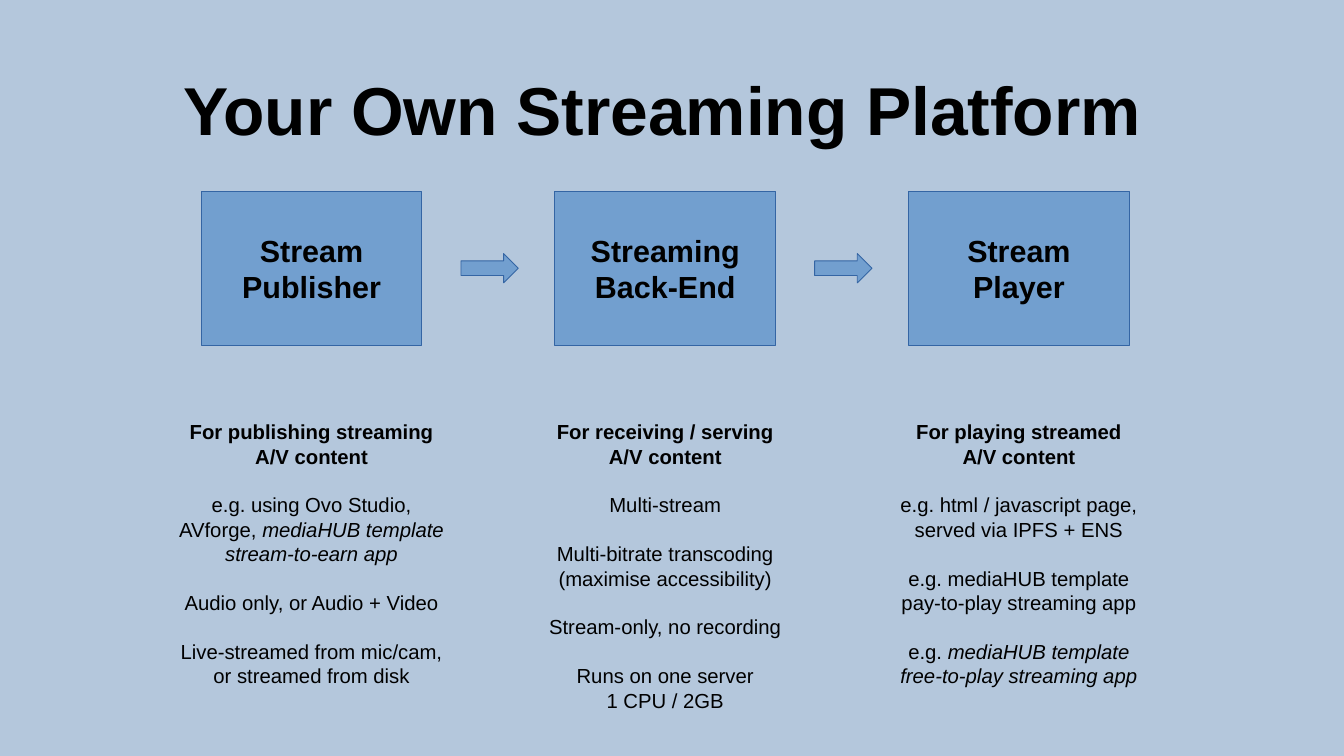
import pptx
import pptx.dml.color
import pptx.enum.shapes
import pptx.enum.text
import pptx.oxml.ns
import pptx.util
from lxml import etree

Inches = pptx.util.Inches
Pt = pptx.util.Pt

COLORS = {"background": "B4C7DC", "box": "729FCF", "outline": "3465A4", "text": "000000"}

# Box label, then blocks of lines; text after "|" is italic
STAGES = [
    (["Stream", "Publisher"], [
        ["For publishing streaming", "A/V content"],
        ["e.g. using Ovo Studio,", "AVforge, |mediaHUB template", "|stream-to-earn app"],
        ["Audio only, or Audio + Video"],
        ["Live-streamed from mic/cam,", "or streamed from disk"],
    ]),
    (["Streaming", "Back-End"], [
        ["For receiving / serving", "A/V content"],
        ["Multi-stream"],
        ["Multi-bitrate transcoding", "(maximise accessibility)"],
        ["Stream-only, no recording"],
        ["Runs on one server", "1 CPU / 2GB"],
    ]),
    (["Stream", "Player"], [
        ["For playing streamed", "A/V content"],
        ["e.g. html / javascript page,", "served via IPFS + ENS"],
        ["e.g. mediaHUB template", "pay-to-play streaming app"],
        ["e.g. |mediaHUB template", "|free-to-play streaming app"],
    ]),
]

FIRST_LEFT, STAGE_STEP = 1.65, 2.9
BOX_WIDTH, BOX_HEIGHT, BOX_TOP = 1.81, 1.26, 1.57
ARROW_OFFSET, ARROW_WIDTH, ARROW_HEIGHT = 2.13, 0.47, 0.24
DETAIL_WIDTH, DETAIL_HEIGHT, DETAIL_TOP = 2.6, 2.4, 3.39


class StreamingSlide:
    font = "Arial"
    line_factor = 1.2

    def __init__(self, slide):
        self.slide = slide
        self.paint(slide.background.fill, "background")

    def paint(self, fill, color):
        fill.solid()
        fill.fore_color.rgb = pptx.dml.color.RGBColor.from_string(COLORS[color])

    def place(self, placeholder, left, top, width, height, anchor):
        placeholder.left, placeholder.top = Inches(left), Inches(top)
        placeholder.width, placeholder.height = Inches(width), Inches(height)
        frame = placeholder.text_frame
        frame.word_wrap = True
        frame.auto_size = pptx.enum.text.MSO_AUTO_SIZE.NONE
        frame.vertical_anchor = anchor
        return frame

    def style(self, paragraph, size, bold):
        paragraph.alignment = pptx.enum.text.PP_ALIGN.CENTER
        for run in paragraph.runs:
            run.font.name = self.font
            run.font.size = Pt(size)
            run.font.bold = bold
            run.font.color.rgb = pptx.dml.color.RGBColor.from_string(COLORS["text"])

    def title(self, wording):
        frame = self.place(self.slide.shapes.title, 0.43, 0.49, 10, 0.8,
                           pptx.enum.text.MSO_ANCHOR.MIDDLE)
        frame.text = wording
        self.style(frame.paragraphs[0], 40, True)

    def shape(self, kind, left, top, width, height):
        shape = self.slide.shapes.add_shape(
            kind, Inches(left), Inches(top), Inches(width), Inches(height))
        shape.shadow.inherit = False
        self.paint(shape.fill, "box")
        self.paint(shape.line.fill, "outline")
        shape.line.width = Pt(0.5)
        return shape

    def box(self, left, label):
        box = self.shape(pptx.enum.shapes.MSO_SHAPE.RECTANGLE,
                         left, BOX_TOP, BOX_WIDTH, BOX_HEIGHT)
        box.text_frame.text = "\n".join(label)
        box.text_frame.vertical_anchor = pptx.enum.text.MSO_ANCHOR.MIDDLE
        for paragraph in box.text_frame.paragraphs:
            self.style(paragraph, 18, True)
            paragraph.line_spacing = Pt(18 * self.line_factor)

    def arrow(self, left):
        top = BOX_TOP + (BOX_HEIGHT - ARROW_HEIGHT) / 2
        self.shape(pptx.enum.shapes.MSO_SHAPE.RIGHT_ARROW,
                   left, top, ARROW_WIDTH, ARROW_HEIGHT)

    def details(self, placeholder, left, blocks, size=12):
        frame = self.place(placeholder, left, DETAIL_TOP, DETAIL_WIDTH, DETAIL_HEIGHT,
                           pptx.enum.text.MSO_ANCHOR.TOP)
        lines = [(block, row, line) for block, rows in enumerate(blocks)
                 for row, line in enumerate(rows)]
        frame.text = "\n".join(line.partition("|")[0] for _, _, line in lines)
        spacing = Pt(size * self.line_factor)
        for paragraph, (block, row, line) in zip(frame.paragraphs, lines):
            emphasis = line.partition("|")[2]
            if emphasis:
                run = paragraph.add_run()
                run.text = emphasis
                run.font.italic = True
            self.style(paragraph, size, block == 0)
            paragraph.line_spacing = spacing
            paragraph.space_before = spacing if block and row == 0 else Pt(0)
            properties = paragraph._p.get_or_add_pPr()
            properties.set("marL", "0")
            properties.set("indent", "0")
            etree.SubElement(properties, pptx.oxml.ns.qn("a:buNone"))


def main():
    presentation = pptx.Presentation()
    presentation.slide_width = Inches(11.02)
    presentation.slide_height = Inches(6.2)
    comparison_layout = presentation.slide_layouts[4]
    page = StreamingSlide(presentation.slides.add_slide(comparison_layout))

    # Heading
    page.title("Your Own Streaming Platform")

    # Stages with their details
    bodies = [item for item in page.slide.placeholders if item.placeholder_format.idx in range(1, 5)]
    for index, (label, blocks) in enumerate(STAGES):
        left = FIRST_LEFT + index * STAGE_STEP
        page.box(left, label)
        page.details(bodies[index], left + (BOX_WIDTH - DETAIL_WIDTH) / 2, blocks)
        if index < len(STAGES) - 1:
            page.arrow(left + ARROW_OFFSET)

    # Unused body placeholder
    for spare in bodies[len(STAGES):]:
        spare.element.getparent().remove(spare.element)

    presentation.save("out.pptx")


if __name__ == "__main__":
    main()
